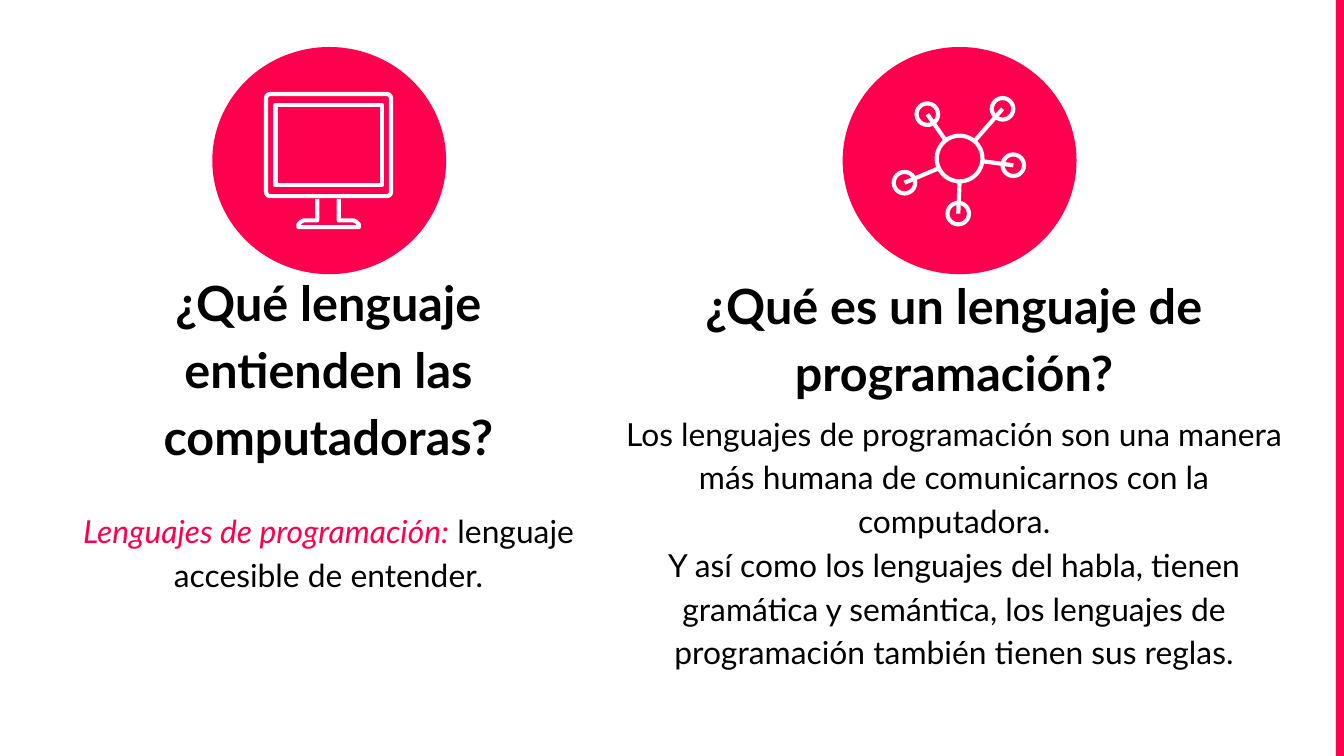
from lxml import etree
from pptx import Presentation
from pptx import util as u
from pptx.dml.color import RGBColor
from pptx.enum import shapes, text
from pptx.oxml.ns import qn

PINK = RGBColor(0xFF, 0x00, 0x4E)
WHITE = RGBColor(0xFF, 0xFF, 0xFF)
BLACK = RGBColor(0x00, 0x00, 0x00)
FONT = "Lato"
HEADING_SIZE = 26
BODY_SIZE = 17
PAGE_WIDTH = 10
PAGE_HEIGHT = PAGE_WIDTH * 9 / 16
BAR_WIDTH = 0.06
ICON_LINE = u.Pt(2.25)
NODE_SIZE = 0.16
HUB_CENTER = (7.14, 1.18)
HUB_SIZE = 0.34
SPOKES = [
    ((6.9, 0.85), (7.04, 1.05)),
    ((7.46, 0.81), (7.25, 1.05)),
    ((7.54, 1.23), (7.31, 1.2)),
    ((7.13, 1.59), (7.14, 1.35)),
    ((6.73, 1.36), (6.99, 1.25)),
]
STAND = [
    (2.36, 1.48), (2.36, 1.64), (2.26, 1.64), (2.24, 1.65), (2.22, 1.67),
    (2.22, 1.69), (2.67, 1.69), (2.67, 1.67), (2.65, 1.65), (2.63, 1.64),
    (2.52, 1.64), (2.52, 1.48),
]


def add_preset(page, kind, left, top, width, height):
    shape = page.shapes.add_shape(
        kind, u.Inches(left), u.Inches(top), u.Inches(width), u.Inches(height))
    shape.shadow.inherit = False
    return shape


def add_filled(page, kind, *place):
    shape = add_preset(page, kind, *place)
    shape.fill.solid()
    shape.fill.fore_color.rgb = PINK
    shape.line.fill.background()


def outline(shape):
    shape.shadow.inherit = False
    shape.fill.background()
    shape.line.color.rgb = WHITE
    shape.line.width = ICON_LINE


def add_outlined(page, kind, *place):
    shape = add_preset(page, kind, *place)
    outline(shape)
    return shape


def add_ring(page, center, size):
    x, y = center
    add_outlined(page, shapes.MSO_SHAPE.OVAL,
                 x - size / 2, y - size / 2, size, size)


def add_spoke(page, start, end):
    spoke = page.shapes.add_connector(
        shapes.MSO_CONNECTOR.STRAIGHT,
        *(u.Inches(value) for value in (*start, *end)))
    spoke.line.color.rgb = WHITE
    spoke.line.width = ICON_LINE
    etree.SubElement(spoke._element.spPr, qn("a:effectLst"))


def add_monitor(page):
    points = [(u.Inches(x), u.Inches(y)) for x, y in STAND]
    builder = page.shapes.build_freeform(*points[0])
    builder.add_line_segments(points[1:], close=False)
    outline(builder.convert_to_shape())
    case = add_outlined(page, shapes.MSO_SHAPE.ROUNDED_RECTANGLE,
                        1.98, 0.7, 0.93, 0.76)
    case.adjustments[0] = 0.04
    add_outlined(page, shapes.MSO_SHAPE.RECTANGLE, 2.05, 0.78, 0.79, 0.6)


def add_network(page):
    for node, hub_edge in SPOKES:
        add_ring(page, node, NODE_SIZE)
        add_spoke(page, node, hub_edge)
    add_ring(page, HUB_CENTER, HUB_SIZE)


def add_span(para, words, size, color=BLACK, bold=False, italic=False):
    span = para.add_run()
    span.text = words
    span.font.name = FONT
    span.font.size = u.Pt(size)
    span.font.color.rgb = color
    span.font.bold = bold
    span.font.italic = italic


def add_para(frame, spaced=False):
    para = frame.add_paragraph() if frame.paragraphs[0].runs else frame.paragraphs[0]
    para.alignment = text.PP_ALIGN.CENTER
    para.line_spacing = 1.15
    if spaced:
        para.space_before = u.Pt(18)
        para.space_after = u.Pt(4)
    return para


def add_column(page, left, top, width, height, heading):
    box = page.shapes.add_textbox(
        u.Inches(left), u.Inches(top), u.Inches(width), u.Inches(height))
    frame = box.text_frame
    frame.word_wrap = True
    frame.vertical_anchor = text.MSO_ANCHOR.TOP
    frame.margin_left = frame.margin_right = u.Inches(0.1)
    frame.margin_top = frame.margin_bottom = u.Inches(0.1)
    add_span(add_para(frame, spaced=True), heading, HEADING_SIZE, bold=True)
    return frame


def main():
    deck = Presentation()
    deck.slide_width = u.Inches(PAGE_WIDTH)
    deck.slide_height = u.Inches(PAGE_HEIGHT)
    page = deck.slides.add_slide(deck.slide_layouts[6])

    add_filled(page, shapes.MSO_SHAPE.RECTANGLE,
               PAGE_WIDTH - BAR_WIDTH, 0, BAR_WIDTH, PAGE_HEIGHT)
    for left in (6.27, 1.58):
        add_filled(page, shapes.MSO_SHAPE.OVAL, left, 0.35, 1.74, 1.69)

    computers = add_column(page, 0.39, 1.87, 4.11, 3.47,
                           "¿Qué lenguaje entienden las computadoras?")
    para = add_para(computers, spaced=True)
    add_span(para, "Lenguajes de programación:", BODY_SIZE, PINK, italic=True)
    add_span(para, " lenguaje accesible de entender.", BODY_SIZE)

    languages = add_column(page, 4.5, 1.89, 5.2, 3.11,
                           "¿Qué es un lenguaje de programación?")
    for words in (
        "Los lenguajes de programación son una manera más humana de "
        "comunicarnos con la computadora.",
        "Y así como los lenguajes del habla, tienen gramática y semántica, "
        "los lenguajes de programación también tienen sus reglas.",
    ):
        add_span(add_para(languages), words, BODY_SIZE)

    add_monitor(page)
    add_network(page)
    deck.save("out.pptx")


if __name__ == "__main__":
    main()
